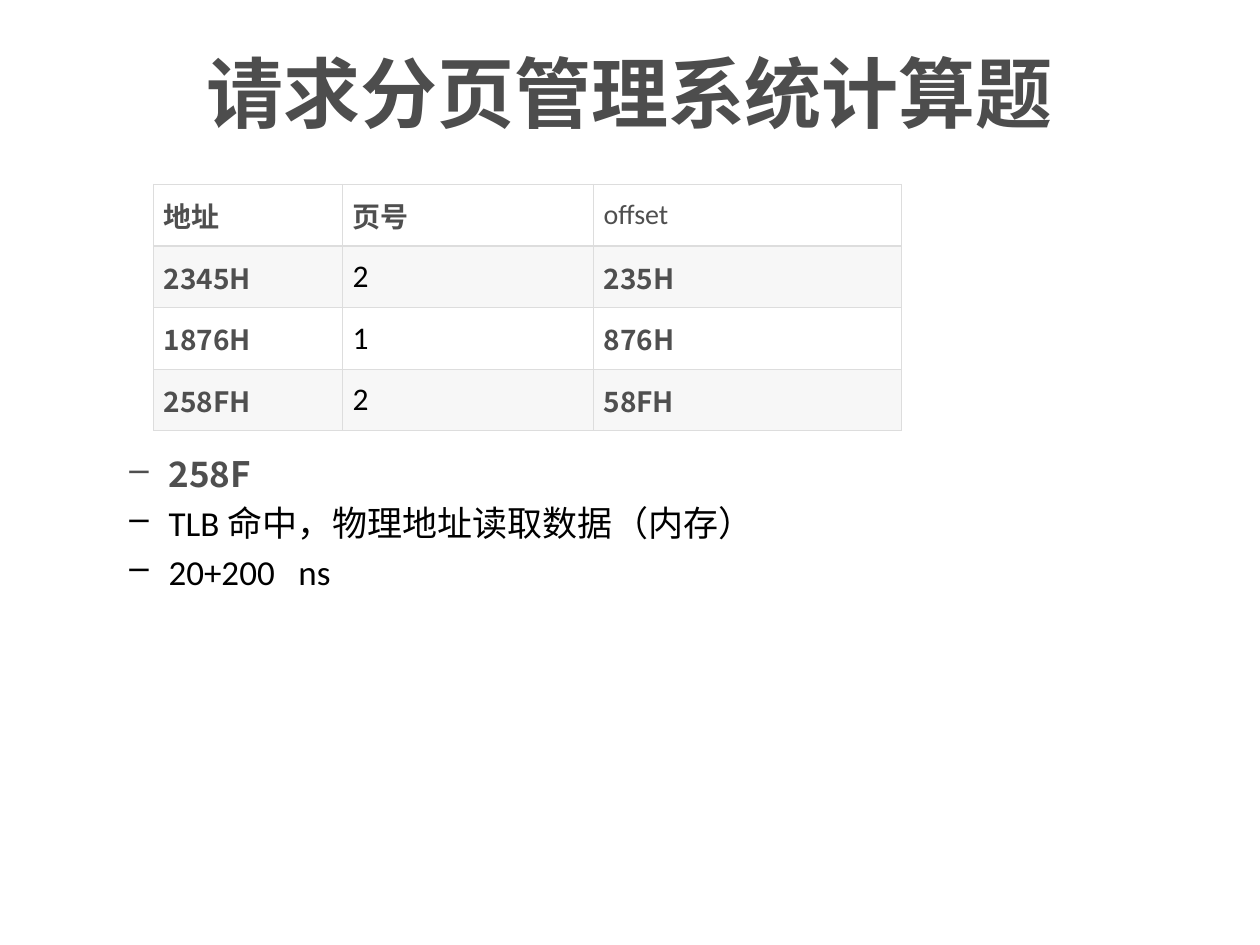
from pptx import Presentation
from pptx import util as u
from pptx.dml.color import RGBColor
from pptx.enum import text
from pptx.oxml import parse_xml
from pptx.oxml.ns import nsdecls, qn

COLORS = {"title": "4D4D4D", "strong": "4F4F4F", "plain": "000000",
          "border": "DDDDDD", "white": "FFFFFF", "band": "F7F7F7"}
CJK = "Noto Sans CJK SC"
LATIN = "Calibri"

ADDRESSES = [("地址", "页号", "offset"),
             ("2345H", "2", "235H"),
             ("1876H", "1", "876H"),
             ("258FH", "2", "58FH")]
STEPS = [("258F", True), ("TLB 命中，物理地址读取数据（内存）", False), ("20+200   ns", False)]


def xml(tag, attributes="", inner=""):
    return parse_xml(f"<a:{tag} {nsdecls('a')} {attributes}>{inner}</a:{tag}>")


def style(paragraph, size, color, bold):
    """Bold text is set in the CJK font, regular text in the Latin one."""
    font = paragraph.font
    font.size = u.Pt(size)
    font.bold = bold
    font.name = CJK if bold else LATIN
    font.color.rgb = RGBColor.from_string(COLORS[color])
    defaults = paragraph._p.pPr.find(qn("a:defRPr"))
    defaults.find(qn("a:latin")).addnext(xml("ea", f'typeface="{CJK}"'))


def add_frame(slide, left, top, width, height):
    frame = slide.shapes.add_textbox(u.Cm(left), u.Cm(top), u.Cm(width), u.Cm(height)).text_frame
    frame.word_wrap = True
    return frame


def add_title(slide, wording):
    frame = add_frame(slide, 1.27, 0.76, 22.86, 2.16)
    frame.vertical_anchor = text.MSO_ANCHOR.MIDDLE
    heading = frame.paragraphs[0]
    heading.text = wording
    heading.alignment = text.PP_ALIGN.CENTER
    style(heading, 44, "title", True)


def add_steps(slide, steps):
    frame = add_frame(slide, 1.09, 9.12, 22.86, 7.3)
    frame.margin_top = 0
    for number, (wording, strong) in enumerate(steps):
        step = frame.add_paragraph() if number else frame.paragraphs[0]
        step.text = wording
        properties = step._p.get_or_add_pPr()
        properties.set("marL", str(u.Cm(2.06)))
        properties.set("indent", str(-u.Cm(0.79)))
        properties.append(xml("buChar", 'char="–"'))
        step.space_before = u.Pt(4)
        style(step, 20, "strong" if strong else "plain", strong)


def add_borders(cell):
    line = f'<a:solidFill><a:srgbClr val="{COLORS["border"]}"/></a:solidFill>'
    for side in ("lnL", "lnR", "lnT", "lnB"):
        cell._tc.get_or_add_tcPr().append(xml(side, f'w="{u.Pt(0.75)}"', line))


def fill_cell(cell, wording, row, column):
    add_borders(cell)
    cell.fill.solid()
    cell.fill.fore_color.rgb = RGBColor.from_string(COLORS["band" if row % 2 else "white"])
    cell.vertical_anchor = text.MSO_ANCHOR.MIDDLE
    cell.margin_left = cell.margin_right = cell.margin_top = cell.margin_bottom = u.Cm(0.2)
    entry = cell.text_frame.paragraphs[0]
    entry.text = wording
    if row and column == 1:
        style(entry, 18, "plain", False)
    else:
        style(entry, 16, "strong", wording != "offset")


def add_address_table(slide, rows):
    widths = (3.81, 5.06, 6.2)
    row_height = 1.24
    table = slide.shapes.add_table(len(rows), len(widths), u.Cm(3.1), u.Cm(3.72),
                                   u.Cm(sum(widths)), u.Cm(row_height * len(rows))).table
    for column, width in zip(table.columns, widths):
        column.width = u.Cm(width)
    for row, wordings in enumerate(rows):
        for column, wording in enumerate(wordings):
            fill_cell(table.cell(row, column), wording, row, column)


def main():
    deck = Presentation()
    deck.slide_width, deck.slide_height = u.Cm(25.4), u.Cm(19.05)
    slide = deck.slides.add_slide(deck.slide_layouts[6])
    add_title(slide, "请求分页管理系统计算题")
    add_steps(slide, STEPS)
    add_address_table(slide, ADDRESSES)
    deck.save("out.pptx")


if __name__ == "__main__":
    main()
